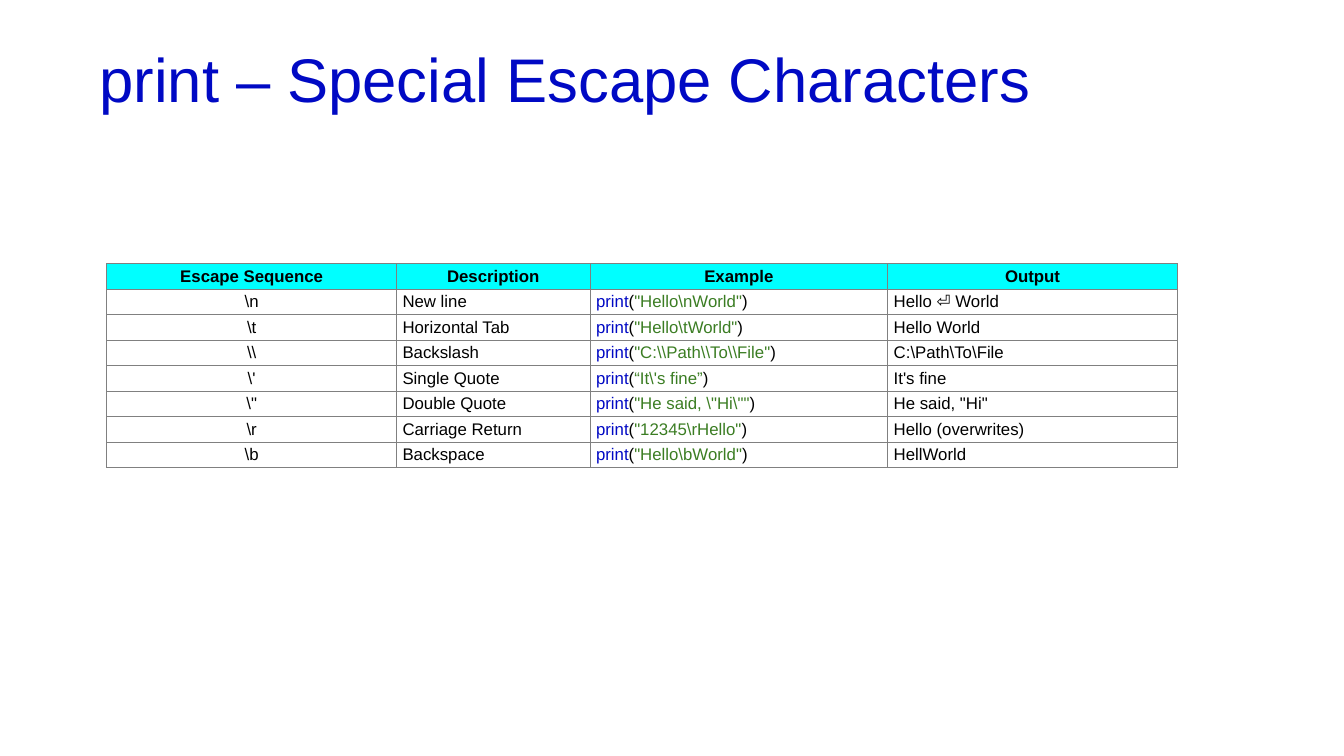
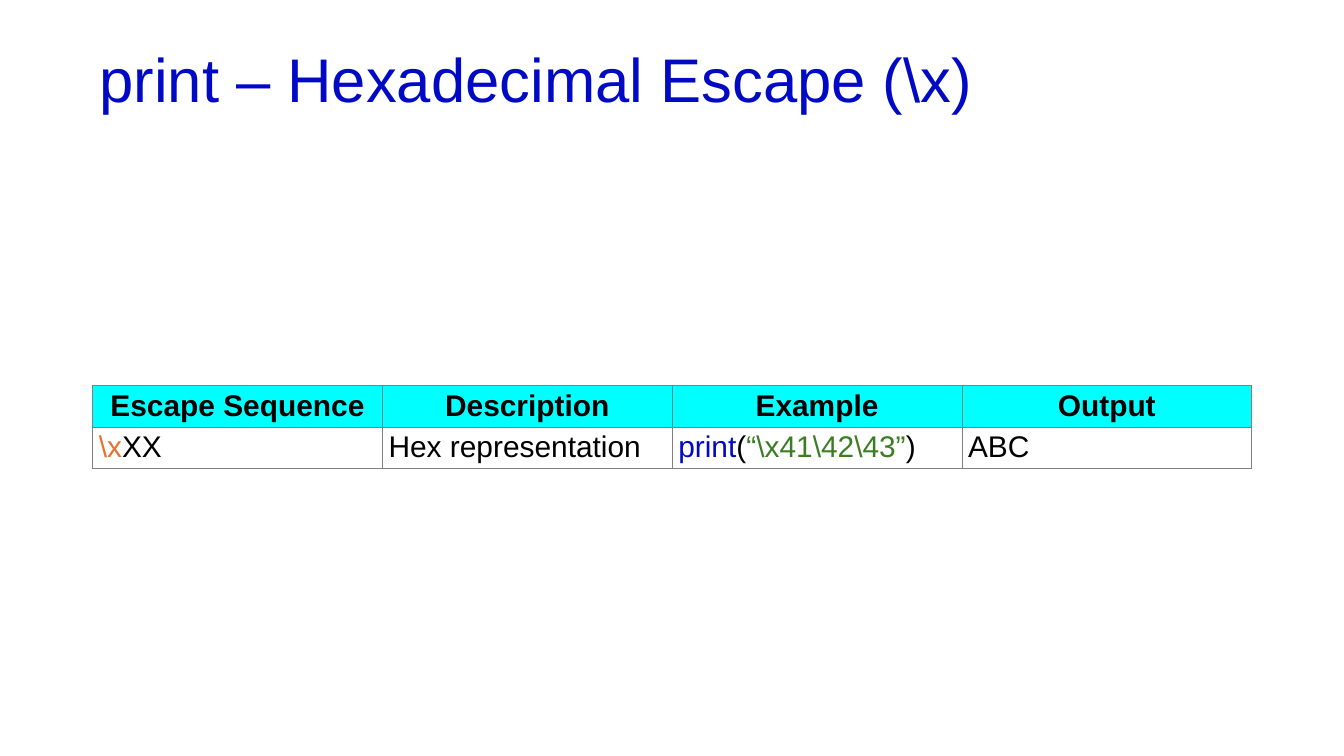
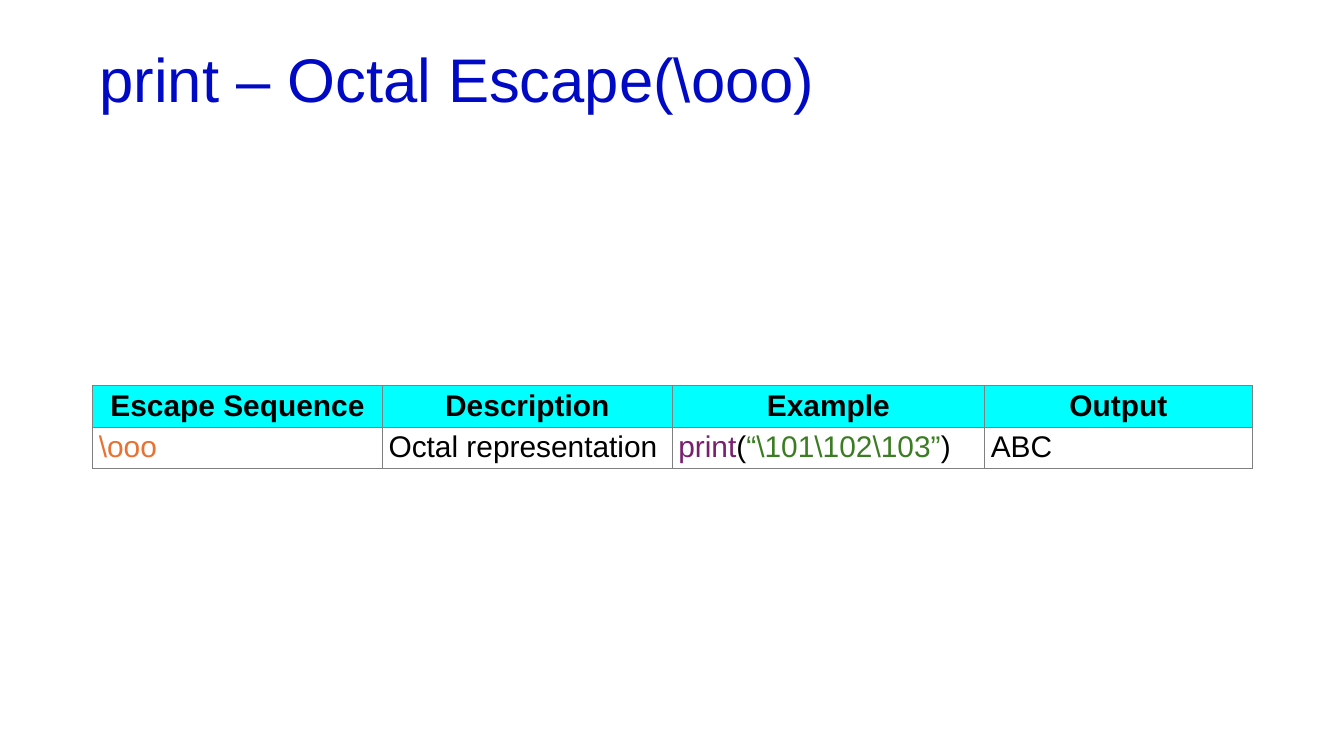
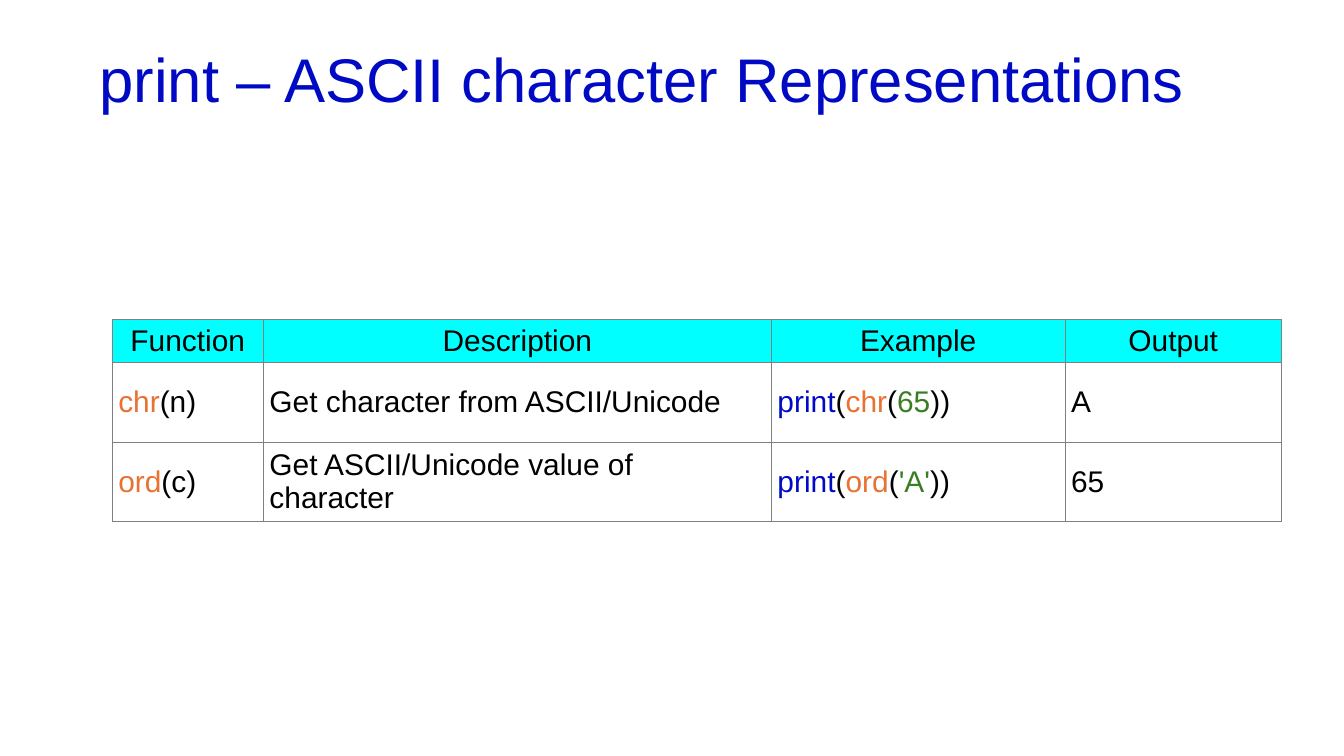
from dataclasses import dataclass
from typing import NamedTuple

from lxml.etree import SubElement
from pptx import Presentation
from pptx.dml.color import RGBColor
from pptx.enum.text import MSO_ANCHOR, PP_ALIGN
from pptx.oxml.ns import qn
from pptx.util import Inches, Pt

SLIDE_W, SLIDE_H = Inches(20), Inches(11.25)


@dataclass(frozen=True)
class Theme:
    font: str = "Arial"
    text: str = "000000"
    blue: str = "0009C4"
    green: str = "3B7D23"
    orange: str = "E97132"
    purple: str = "78206E"
    header: str = "00FFFF"
    border: str = "808080"
    border_pt: float = 1
    title_pt: int = 66
    large_pt: int = 32
    small_pt: int = 18


THEME = Theme()


class Run(NamedTuple):
    text: str
    color: str = THEME.text


Cell = str | list[Run]


@dataclass(frozen=True)
class TableSlide:
    """One slide; lengths are percentages of the slide's width and height."""
    title: str
    left: float
    top: float
    cols: list[float]
    row_heights: list[float]
    header: list[str]
    body: list[list[Cell]]
    size: int = THEME.large_pt
    bold_header: bool = True
    center_first_col: bool = False


def across(percent: float) -> int:
    return round(SLIDE_W * percent / 100)


def down(percent: float) -> int:
    return round(SLIDE_H * percent / 100)


def print_call(argument: str, color: str = THEME.blue) -> list[Run]:
    return [Run("print", color), Run("("), Run(argument, THEME.green), Run(")")]


def nested_call(function: str, argument: str) -> list[Run]:
    return [Run("print", THEME.blue), Run("("), Run(function, THEME.orange),
            Run("("), Run(argument, THEME.green), Run("))")]


def write(p, content: Cell, size: int, bold: bool = False) -> None:
    runs = [Run(content)] if isinstance(content, str) else content
    for text, color in runs:
        r = p.add_run()
        r.text = text
        r.font.name = THEME.font
        r.font.size = Pt(size)
        r.font.bold = bold
        r.font.color.rgb = RGBColor.from_string(color)


def add_title(s, title: str) -> None:
    sp = s.shapes.add_textbox(across(6.9), down(5.33), across(86.25), down(11.29))
    tf = sp.text_frame
    tf.word_wrap = True
    tf.vertical_anchor = MSO_ANCHOR.MIDDLE
    p = tf.paragraphs[0]
    p.line_spacing = 0.9
    write(p, [Run(title, THEME.blue)], THEME.title_pt)


def add_borders(cell) -> None:
    tc_pr = cell._tc.get_or_add_tcPr()
    for side in ("a:lnL", "a:lnR", "a:lnT", "a:lnB"):
        ln = SubElement(tc_pr, qn(side), w=str(Pt(THEME.border_pt)))
        fill = SubElement(ln, qn("a:solidFill"))
        SubElement(fill, qn("a:srgbClr"), val=THEME.border)


def fill_cell(cell, content: Cell, size: int, is_header: bool,
              bold: bool, centered: bool) -> None:
    add_borders(cell)
    if is_header:
        cell.fill.solid()
        cell.fill.fore_color.rgb = RGBColor.from_string(THEME.header)
    else:
        cell.fill.background()
    cell.vertical_anchor = MSO_ANCHOR.MIDDLE
    cell.margin_left = cell.margin_right = Inches(0.09)
    cell.margin_top = cell.margin_bottom = Inches(0.04)
    p = cell.text_frame.paragraphs[0]
    p.alignment = PP_ALIGN.CENTER if centered else PP_ALIGN.LEFT
    write(p, content, size, bold)


def add_table(s, spec: TableSlide) -> None:
    rows = [spec.header, *spec.body]
    table = s.shapes.add_table(
        len(rows), len(spec.cols), across(spec.left), down(spec.top),
        across(sum(spec.cols)), down(sum(spec.row_heights))).table
    table.first_row = table.horz_banding = False
    for column, width in zip(table.columns, spec.cols):
        column.width = across(width)
    for i, (row, height) in enumerate(zip(rows, spec.row_heights)):
        table.rows[i].height = down(height)
        is_header = i == 0
        for j, content in enumerate(row):
            centered = is_header or (spec.center_first_col and j == 0)
            fill_cell(table.cell(i, j), content, spec.size, is_header,
                      is_header and spec.bold_header, centered)


ESCAPE_HEADER = ["Escape Sequence", "Description", "Example", "Output"]

SLIDES = [
    TableSlide(
        "print – Special Escape Characters",
        left=7.95, top=34.84,
        cols=[21.55, 14.4, 22.15, 21.55], row_heights=[3.38] * 8,
        header=ESCAPE_HEADER,
        body=[
            [r"\n", "New line", print_call(r'"Hello\nWorld"'), "Hello ⏎ World"],
            [r"\t", "Horizontal Tab", print_call(r'"Hello\tWorld"'), "Hello World"],
            [r"\\", "Backslash", print_call(r'"C:\\Path\\To\\File"'), r"C:\Path\To\File"],
            [r"\'", "Single Quote", print_call(r"“It\'s fine”"), "It's fine"],
            [r'\"', "Double Quote", print_call(r'"He said, \"Hi\""'), 'He said, "Hi"'],
            [r"\r", "Carriage Return", print_call(r'"12345\rHello"'), "Hello (overwrites)"],
            [r"\b", "Backspace", print_call(r'"Hello\bWorld"'), "HellWorld"],
        ],
        size=THEME.small_pt, center_first_col=True),
    TableSlide(
        r"print – Hexadecimal Escape (\x)",
        left=6.9, top=51.02,
        cols=[21.56] * 4, row_heights=[5.36] * 2,
        header=ESCAPE_HEADER,
        body=[[[Run(r"\x", THEME.orange), Run("XX")], "Hex representation",
               print_call(r"“\x41\42\43”"), "ABC"]]),
    TableSlide(
        r"print – Octal Escape(\ooo)",
        left=6.9, top=51.02,
        cols=[21.56, 21.56, 23.25, 19.9], row_heights=[5.36] * 2,
        header=ESCAPE_HEADER,
        body=[[[Run(r"\ooo", THEME.orange)], "Octal representation",
               print_call(r"“\101\102\103”", THEME.purple), "ABC"]]),
    TableSlide(
        "print – ASCII character Representations",
        left=8.35, top=42.31,
        cols=[11.25, 37.8, 21.85, 16.1], row_heights=[5.69, 10.49, 10.49],
        header=["Function", *ESCAPE_HEADER[1:]],
        body=[
            [[Run("chr", THEME.orange), Run("(n)")], "Get character from ASCII/Unicode",
             nested_call("chr", "65"), "A"],
            [[Run("ord", THEME.orange), Run("(c)")], "Get ASCII/Unicode value of character",
             nested_call("ord", "'A'"), "65"],
        ],
        bold_header=False),
]


def main() -> None:
    prs = Presentation()
    prs.slide_width, prs.slide_height = SLIDE_W, SLIDE_H
    for spec in SLIDES:
        s = prs.slides.add_slide(prs.slide_layouts[6])
        add_title(s, spec.title)
        add_table(s, spec)
    prs.save("out.pptx")


if __name__ == "__main__":
    main()
